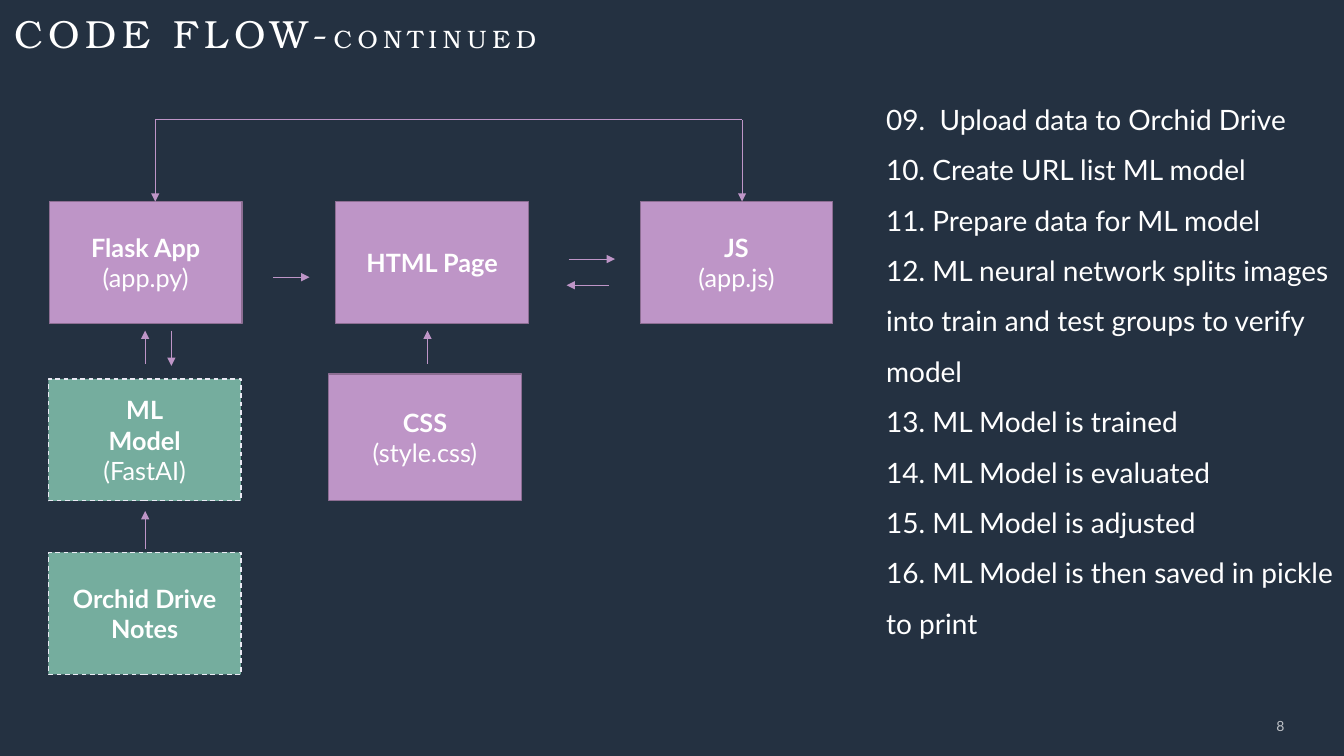
"""Build the continued code flow slide with its diagram and numbered steps."""
from dataclasses import dataclass

from lxml import etree
from pptx import Presentation
from pptx.dml.color import RGBColor
from pptx.enum import dml, shapes, text
from pptx.oxml import ns
from pptx.util import Inches, Pt


@dataclass(frozen=True)
class Theme:
    background: str = "243141"
    white: str = "FFFFFF"
    muted: str = "BDC1C6"
    purple: str = "BE95C7"
    purple_edge: str = "8D6E93"
    green: str = "75AD9E"
    green_edge: str = "EAEAF4"
    heading: str = "TeX Gyre Bonum"
    body: str = "Lato"
    title_size: int = 28
    subtitle_size: int = 18
    box_size: int = 18
    step_size: int = 20
    number_size: int = 10


@dataclass(frozen=True)
class Box:
    left: float
    top: float
    names: tuple[str, ...]
    detail: str = ""
    height: float = 1.21
    external: bool = False


@dataclass(frozen=True)
class Link:
    x1: float
    y1: float
    x2: float
    y2: float
    arrow: bool = True


THEME = Theme()
BOX_WIDTH = 1.91
APP_ROW = 2
LOOP_TOP, LOOP_LEFT, LOOP_RIGHT = 1.19, 1.54, 7.36

BOXES = [
    Box(0.49, APP_ROW, ("Flask App",), "(app.py)"),
    Box(3.33, APP_ROW, ("HTML Page",)),
    Box(6.35, APP_ROW, ("JS",), "(app.js)"),
    Box(3.26, 3.71, ("CSS",), "(style.css)", height=1.26),
    Box(0.48, 3.76, ("ML", "Model"), "(FastAI)", external=True),
    Box(0.48, 5.48, ("Orchid Drive", "Notes"), external=True),
]
LINKS = [
    Link(LOOP_LEFT, LOOP_TOP, LOOP_RIGHT, LOOP_TOP, arrow=False),
    Link(LOOP_LEFT, LOOP_TOP, LOOP_LEFT, APP_ROW),
    Link(LOOP_RIGHT, LOOP_TOP, LOOP_RIGHT, APP_ROW),
    Link(2.71, 2.75, 3.07, 2.75),
    Link(5.64, 2.57, 6.1, 2.57),
    Link(6.04, 2.83, 5.62, 2.83),
    Link(1.44, 3.61, 1.44, 3.28),
    Link(1.7, 3.28, 1.7, 3.63),
    Link(4.24, 3.61, 4.24, 3.28),
    Link(1.44, 5.45, 1.44, 5.07),
]
STEPS = [
    "09.  Upload data to Orchid Drive",
    "10. Create URL list ML model",
    "11. Prepare data for ML model",
    "12. ML neural network splits images into train and test groups to verify model",
    "13. ML Model is trained",
    "14. ML Model is evaluated",
    "15. ML Model is adjusted",
    "16. ML Model is then saved in pickle to print",
]


def rgb(value: str) -> RGBColor:
    return RGBColor.from_string(value)


def add_run(p, words: str, size: int, color: str = THEME.white, font: str = THEME.body,
            bold: bool = False, spacing: int = 0) -> None:
    r = p.add_run()
    r.text = words
    r.font.size, r.font.name, r.font.bold = Pt(size), font, bold
    r.font.color.rgb = rgb(color)
    if spacing:
        r.font._element.set("spc", str(spacing * 100))


def place(sp, left: float, top: float, width: float, height: float) -> None:
    sp.left, sp.top, sp.width, sp.height = map(Inches, (left, top, width, height))


def clear_margins(tf) -> None:
    tf.margin_left = tf.margin_right = tf.margin_top = tf.margin_bottom = 0


def paragraph(tf, index: int):
    return tf.add_paragraph() if index else tf.paragraphs[0]


def add_title(s) -> None:
    sp = s.shapes.title
    place(sp, 0.14, 0.09, 11.5, 1.45)
    tf = sp.text_frame
    clear_margins(tf)
    tf.word_wrap = True
    tf.auto_size = text.MSO_AUTO_SIZE.NONE
    tf.vertical_anchor = text.MSO_ANCHOR.TOP
    p = tf.paragraphs[0]
    p.alignment = text.PP_ALIGN.LEFT
    for words, size in (("CODE FLOW-", THEME.title_size), ("CONTINUED", THEME.subtitle_size)):
        add_run(p, words, size, font=THEME.heading, spacing=4)


def add_box(s, box: Box) -> None:
    sp = s.shapes.add_shape(shapes.MSO_SHAPE.RECTANGLE, 0, 0, 0, 0)
    place(sp, box.left, box.top, BOX_WIDTH, box.height)
    sp.shadow.inherit = False
    sp.fill.solid()
    sp.fill.fore_color.rgb = rgb(THEME.green if box.external else THEME.purple)
    sp.line.color.rgb = rgb(THEME.green_edge if box.external else THEME.purple_edge)
    sp.line.width = Pt(0.85)
    if box.external:
        sp.line.dash_style = dml.MSO_LINE.DASH
    tf = sp.text_frame
    tf.word_wrap = True
    tf.vertical_anchor = text.MSO_ANCHOR.MIDDLE
    lines = [(name, True) for name in box.names]
    if box.detail:
        lines.append((box.detail, False))
    for i, (words, bold) in enumerate(lines):
        p = paragraph(tf, i)
        p.alignment = text.PP_ALIGN.CENTER
        add_run(p, words, THEME.box_size, bold=bold)


def add_link(s, link: Link) -> None:
    ends = map(Inches, (link.x1, link.y1, link.x2, link.y2))
    sp = s.shapes.add_connector(shapes.MSO_CONNECTOR.STRAIGHT, *ends)
    sp.line.color.rgb = rgb(THEME.purple)
    sp.line.width = Pt(0.75)
    if link.arrow:
        etree.SubElement(sp.line._get_or_add_ln(), ns.qn("a:tailEnd"), type="triangle")
    etree.SubElement(sp._element.spPr, ns.qn("a:effectLst"))


def add_steps(s) -> None:
    sp = s.shapes.add_textbox(0, 0, 0, 0)
    place(sp, 8.69, 0.8, 4.64, 5.7)
    tf = sp.text_frame
    tf.word_wrap = True
    for i, step in enumerate(STEPS):
        p = paragraph(tf, i)
        p.line_spacing = 1.5
        add_run(p, step, THEME.step_size)


def add_page_number(s) -> None:
    sp = s.shapes.add_textbox(0, 0, 0, 0)
    place(sp, 10.33, 7, 2.41, 0.4)
    tf = sp.text_frame
    clear_margins(tf)
    tf.word_wrap = True
    tf.vertical_anchor = text.MSO_ANCHOR.MIDDLE
    p = tf.paragraphs[0]
    p.alignment = text.PP_ALIGN.RIGHT
    add_run(p, "8", THEME.number_size, THEME.muted, spacing=3)


def main() -> None:
    prs = Presentation()
    prs.slide_width, prs.slide_height = Inches(13.33), Inches(7.5)
    s = prs.slides.add_slide(prs.slide_layouts.get_by_name("Title Only"))
    s.background.fill.solid()
    s.background.fill.fore_color.rgb = rgb(THEME.background)
    add_title(s)
    for box in BOXES:
        add_box(s, box)
    for link in LINKS:
        add_link(s, link)
    add_steps(s)
    add_page_number(s)
    prs.save("out.pptx")


if __name__ == "__main__":
    main()
